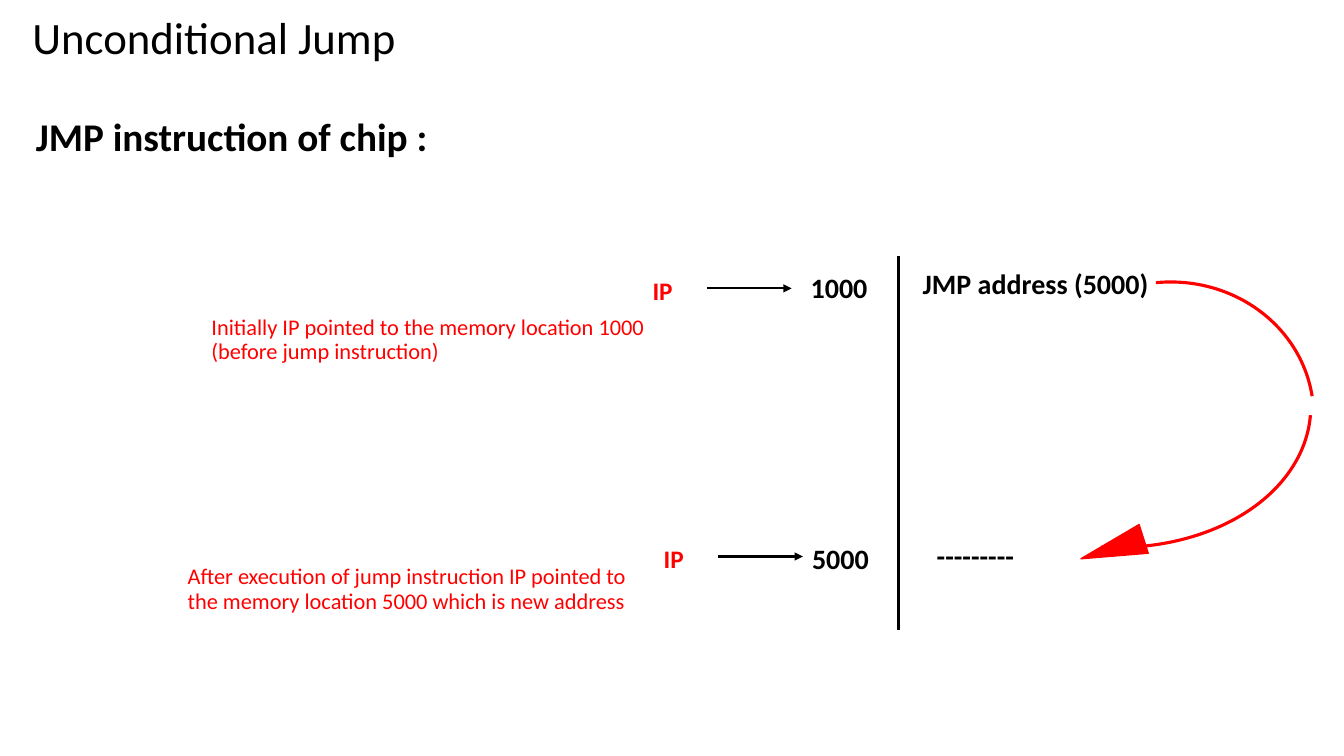
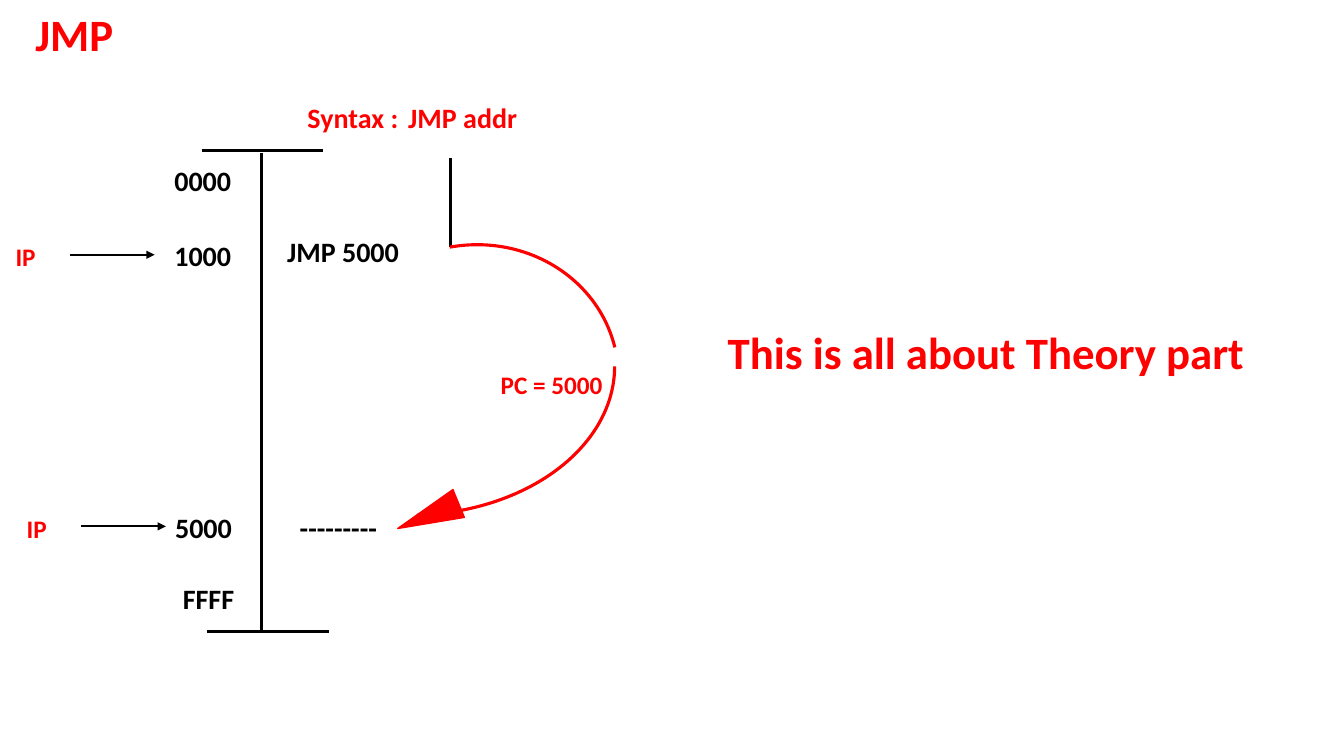
import math
from dataclasses import dataclass

from lxml import etree
from pptx import Presentation
from pptx.dml.color import RGBColor
from pptx.enum import shapes, text
from pptx.oxml.ns import qn
from pptx.util import Pt


@dataclass(frozen=True)
class Theme:
    """Colours, font, type sizes and line widths of the deck."""
    font: str = "Calibri"
    ink: RGBColor = RGBColor(0, 0, 0)
    accent: RGBColor = RGBColor(255, 0, 0)
    title: int = 32
    heading: int = 28
    code: int = 20
    label: int = 18
    note: int = 16
    rule: float = 2.25
    arrow: float = 1.5


THEME = Theme()


# Text
def write(holder, content, size=THEME.code, color=THEME.ink, bold=True,
          spacing=1.0, tab=None):
    """Fill a text box or placeholder with one formatted paragraph."""
    frame = holder.text_frame
    frame.word_wrap = True
    frame.auto_size = text.MSO_AUTO_SIZE.NONE
    frame.vertical_anchor = text.MSO_ANCHOR.TOP
    paragraph = frame.paragraphs[0]
    properties = paragraph._p.get_or_add_pPr()
    properties.set("marL", "0")
    properties.set("indent", "0")
    etree.SubElement(properties, qn("a:buNone"))
    if tab:
        stops = etree.SubElement(properties, qn("a:tabLst"))
        etree.SubElement(stops, qn("a:tab"), pos=str(Pt(tab)), algn="l")
    paragraph.alignment = text.PP_ALIGN.LEFT
    paragraph.line_spacing = spacing
    paragraph.space_before = Pt(0)
    run = paragraph.add_run()
    run.text = content
    run.font.name = THEME.font
    run.font.size = Pt(size)
    run.font.bold = bold
    run.font.color.rgb = color


def add_text(slide, content, left, top, width, height=32, **style):
    box = slide.shapes.add_textbox(Pt(left), Pt(top), Pt(width), Pt(height))
    write(box, content, **style)


def fill_placeholder(holder, content, left, top, width, height, **style):
    holder.left, holder.top = Pt(left), Pt(top)
    holder.width, holder.height = Pt(width), Pt(height)
    write(holder, content, **style)


# Lines and shapes
def add_line(slide, x1, y1, x2, y2, width=THEME.rule, arrow=False):
    line = slide.shapes.add_connector(
        shapes.MSO_CONNECTOR.STRAIGHT, Pt(x1), Pt(y1), Pt(x2), Pt(y2))
    line.line.color.rgb = THEME.ink
    line.line.width = Pt(width)
    if arrow:
        etree.SubElement(line.line._get_or_add_ln(), qn("a:tailEnd"),
                         type="triangle")
    etree.SubElement(line._element.spPr, qn("a:effectLst"))


def add_accent(slide, kind, center, size, rotation, width):
    """Add an unfilled accent shape around its centre."""
    (x, y), (w, h) = center, size
    accent = slide.shapes.add_shape(
        kind, Pt(x - w / 2), Pt(y - h / 2), Pt(w), Pt(h))
    accent.rotation = rotation % 360
    accent.shadow.inherit = False
    accent.fill.background()
    accent.line.color.rgb = THEME.accent
    accent.line.width = Pt(width)
    return accent


# Parts of the memory diagram
def add_jump_curve(slide, x, y, tilt=0):
    """Draw the curved jump arrow, turned as a whole around (x, y)."""
    turn = math.radians(tilt)

    def placed(dx, dy):
        return (x + dx * math.cos(turn) - dy * math.sin(turn),
                y + dx * math.sin(turn) + dy * math.cos(turn))

    arcs = [((0, 0), (207, 194), -5.5),
            ((-45.5, -14), (212.5, 294), 94.7)]
    for offset, size, angle in arcs:
        arc = add_accent(slide, shapes.MSO_SHAPE.ARC, placed(*offset), size,
                         angle + tilt, THEME.rule)
        arc.adjustments[0] = 162
        arc.adjustments[1] = 214.15
    head = add_accent(slide, shapes.MSO_SHAPE.ISOSCELES_TRIANGLE,
                      placed(-40.5, 93.5), (21.5, 47), 252.4 + tilt, 1)
    head.fill.solid()
    head.fill.fore_color.rgb = THEME.accent


def add_ip_pointer(slide, x, y):
    """Draw the IP label and its arrow, which starts at (x, y)."""
    add_line(slide, x, y, x + 60.5, y, width=THEME.arrow, arrow=True)
    add_text(slide, "IP", x - 46, y - 13, 40, 29,
             size=THEME.label, color=THEME.accent)


def add_addresses(slide, addresses):
    for address, left, top in addresses:
        add_text(slide, address, left, top, 61)


# Slides
def build_unconditional_jump(deck):
    slide = deck.slides.add_slide(deck.slide_layouts[1])
    heading = slide.placeholders[1]
    fill_placeholder(slide.shapes.title, "Unconditional Jump",
                     16, 3.5, 333, 46, size=THEME.title, bold=False)
    fill_placeholder(heading, "JMP instruction of chip :",
                     18.5, 80.5, 346, 32, size=THEME.heading, spacing=0.9)

    add_line(slide, 642, 183, 642, 450)
    add_addresses(slide, [("1000", 572, 190), ("5000", 573, 383)])
    add_text(slide, "JMP address (5000)", 652, 186.5, 194)
    add_text(slide, "---------", 662, 381, 95)
    add_jump_curve(slide, 835, 298.5)
    add_ip_pointer(slide, 505, 206)
    add_ip_pointer(slide, 513, 397.5)

    notes = [
        ("Initially IP pointed to the memory location 1000 "
         "(before jump instruction)", 144, 222.5),
        ("After execution of jump instruction IP pointed to "
         "the memory location 5000 which is new address", 127, 400.5),
    ]
    for note, left, top in notes:
        add_text(slide, note, left, top, 343, 43, size=THEME.note,
                 color=THEME.accent, bold=False, spacing=0.9)


def build_jmp_syntax(deck):
    slide = deck.slides.add_slide(deck.slide_layouts[1])
    closing = slide.placeholders[1]
    fill_placeholder(slide.shapes.title, "JMP", 18, 1.5, 93, 46,
                     size=THEME.title, color=THEME.accent)
    fill_placeholder(closing, "This is all about Theory part",
                     512.5, 228, 440, 46, size=THEME.title,
                     color=THEME.accent)
    add_text(slide, "Syntax :\tJMP addr", 212.5, 68.5, 227,
             color=THEME.accent, tab=78.5)

    # Memory column with its end bars, and the stem of the jump
    add_line(slide, 187, 109, 187, 451)
    add_line(slide, 144, 107.5, 231, 107.5)
    add_line(slide, 148, 451, 235, 451)
    add_line(slide, 322, 113, 322, 176.5)

    add_addresses(slide, [("0000", 117.5, 113), ("1000", 117.5, 166.5),
                          ("5000", 118, 361), ("FFFF", 123.5, 412)])
    add_text(slide, "JMP 5000", 198, 164, 194)
    add_text(slide, "---------", 207, 361, 95)
    add_jump_curve(slide, 338.5, 272, tilt=-4.75)
    add_ip_pointer(slide, 50, 182)
    add_ip_pointer(slide, 58, 376)
    add_text(slide, "PC = 5000", 350.5, 260, 99, 29,
             size=THEME.label, color=THEME.accent)


def main():
    deck = Presentation()
    deck.slide_width, deck.slide_height = Pt(960), Pt(540)
    build_unconditional_jump(deck)
    build_jmp_syntax(deck)
    deck.save("out.pptx")


if __name__ == "__main__":
    main()
